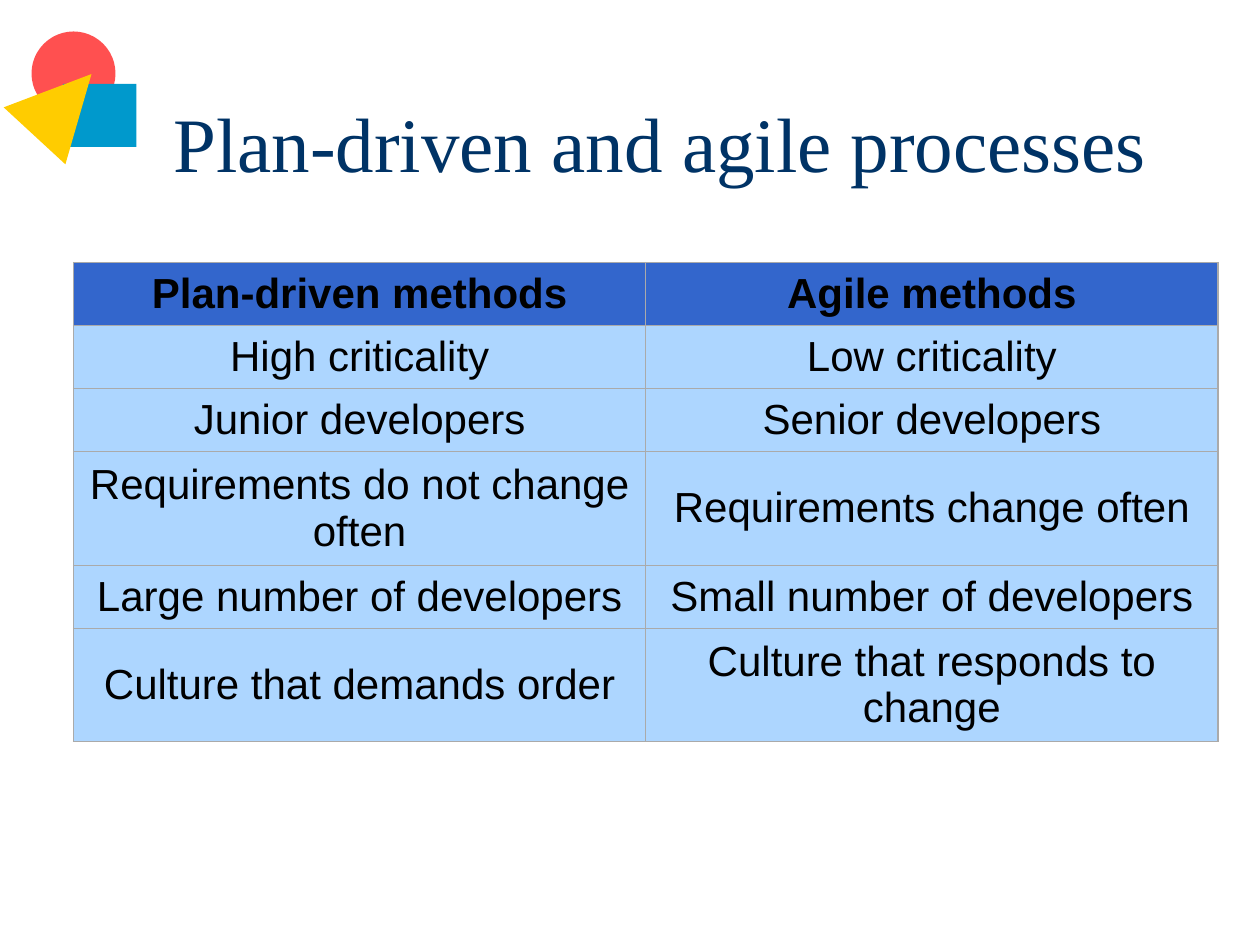
from dataclasses import dataclass

from lxml.etree import SubElement as Sub
from pptx import Presentation
from pptx.dml.color import RGBColor as Rgb
from pptx.enum.shapes import MSO_SHAPE as Kind
from pptx.enum.text import MSO_ANCHOR as Anchor, PP_ALIGN as Align
from pptx.oxml.ns import qn
from pptx.util import Pt

HUES = {
    "red": "FF5050", "blue": "0099CC", "gold": "FFCC00",
    "navy": "003366", "head": "3366CC", "body": "ADD6FF",
    "edge": "AAAAAA", "black": "000000",
}

ROWS = [
    ("Plan-driven methods", "Agile methods"),
    ("High criticality", "Low criticality"),
    ("Junior developers", "Senior developers"),
    ("Requirements do not change often", "Requirements change often"),
    ("Large number of developers", "Small number of developers"),
    ("Culture that demands order", "Culture that responds to change"),
]
TALL = {3, 5}  # rows that wrap to two lines
LOW, HIGH = 33.8, 60.5
WIDE = 327


@dataclass
class Mark:
    kind: Kind
    left: float
    top: float
    width: float
    height: float
    hue: str
    turn: float = 0


MARKS = [
    Mark(Kind.OVAL, 18, 18, 48, 48, "red"),
    Mark(Kind.RECTANGLE, 36, 48, 42, 36, "blue"),
    Mark(Kind.ISOSCELES_TRIANGLE, 12, 36, 48, 48, "gold", 42.7),
]


def color(name: str) -> Rgb:
    return Rgb.from_string(HUES[name])


def style(para, face: str, size: float, hue: str, bold: bool = False) -> None:
    for run in para.runs:
        font = run.font
        font.name, font.size, font.bold = face, Pt(size), bold
        font.color.rgb = color(hue)


def draw_mark(slide, mark: Mark) -> None:
    shape = slide.shapes.add_shape(
        mark.kind, Pt(mark.left), Pt(mark.top), Pt(mark.width), Pt(mark.height))
    shape.rotation = mark.turn
    shape.shadow.inherit = False
    shape.fill.solid()
    shape.fill.fore_color.rgb = color(mark.hue)
    shape.line.fill.background()


def draw_title(slide, text: str) -> None:
    frame = slide.shapes.add_textbox(Pt(92), Pt(36), Pt(612), Pt(90)).text_frame
    frame.word_wrap = True
    frame.vertical_anchor = Anchor.MIDDLE
    frame.text = text
    style(frame.paragraphs[0], "Times New Roman", 44, "navy")


def add_edges(cell) -> None:
    props = cell._tc.get_or_add_tcPr()
    for spot, side in enumerate(("lnL", "lnR", "lnT", "lnB")):
        line = Sub(props, qn(f"a:{side}"), w=str(Pt(0.75)))
        fill = Sub(line, qn("a:solidFill"))
        Sub(fill, qn("a:srgbClr"), val=HUES["edge"])
        props.insert(spot, line)  # borders come before the fill


def draw_cell(cell, text: str, head: bool) -> None:
    cell.text_frame.text = text
    cell.vertical_anchor = Anchor.MIDDLE
    cell.fill.solid()
    cell.fill.fore_color.rgb = color("head" if head else "body")
    para = cell.text_frame.paragraphs[0]
    para.alignment = Align.CENTER
    style(para, "Arial", 24, "black", head)
    add_edges(cell)


def draw_table(slide) -> None:
    highs = [HIGH if row in TALL else LOW for row in range(len(ROWS))]
    table = slide.shapes.add_table(
        len(ROWS), 2, Pt(42), Pt(150), Pt(2 * WIDE), Pt(sum(highs))).table
    for col in table.columns:
        col.width = Pt(WIDE)
    for row, texts in enumerate(ROWS):
        table.rows[row].height = Pt(highs[row])
        for col, text in enumerate(texts):
            draw_cell(table.cell(row, col), text, row == 0)


def main() -> None:
    deck = Presentation()
    deck.slide_width, deck.slide_height = Pt(720), Pt(540)
    slide = deck.slides.add_slide(deck.slide_layouts[6])

    # Corner ornament
    for mark in MARKS:
        draw_mark(slide, mark)

    # Title and comparison table
    draw_title(slide, "Plan-driven and agile processes")
    draw_table(slide)

    deck.save("out.pptx")


if __name__ == "__main__":
    main()
